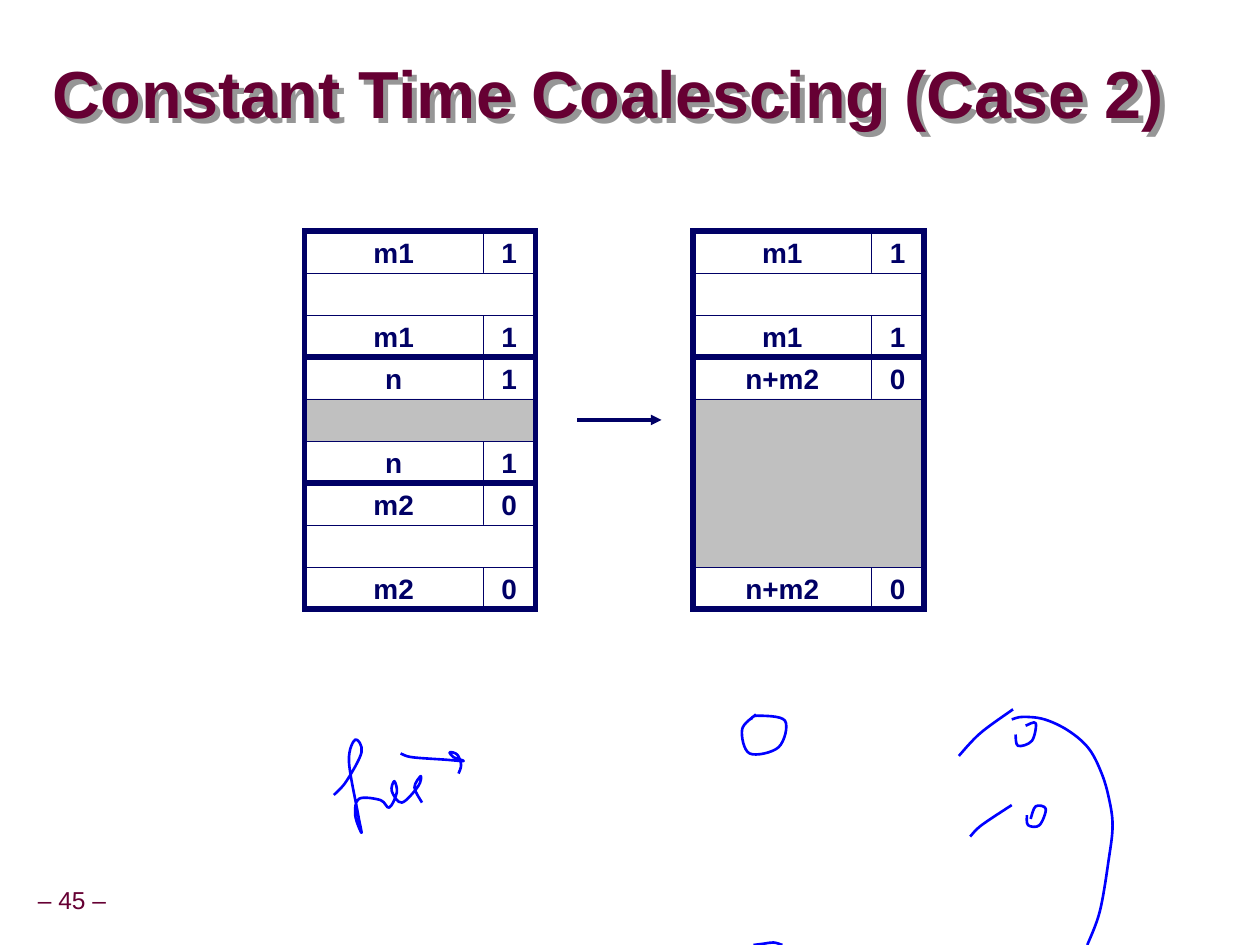
"""Build the slide on constant time coalescing, case 2."""
from lxml.etree import SubElement
from pptx import Presentation
from pptx.dml.color import RGBColor
from pptx.enum.shapes import MSO_CONNECTOR, MSO_SHAPE
from pptx.enum.text import MSO_ANCHOR, PP_ALIGN
from pptx.oxml.ns import qn
from pptx.util import Inches, Pt

COLORS = {
    "title": "660033", "navy": "000066", "free": "C0C0C0",
    "white": "FFFFFF", "ink": "0000FF", "shadow": "969696",
}

deck = Presentation()
deck.slide_width, deck.slide_height = Inches(10), Inches(7.5)
page = deck.slides.add_slide(deck.slide_layouts[6])
shapes = page.shapes
UNIT = deck.slide_width // 120
ROW = 4 * UNIT
TOP = 22 * UNIT
SIZE_WIDTH, FLAG_WIDTH = 17 * UNIT, 5 * UNIT
BLOCK_WIDTH = SIZE_WIDTH + FLAG_WIDTH


def write(box, text, size, color, bold, align, inset=0, spacing=1.0):
    frame = box.text_frame
    frame.vertical_anchor = MSO_ANCHOR.MIDDLE
    frame.margin_left = frame.margin_right = inset
    frame.margin_top = frame.margin_bottom = inset // 2
    frame.word_wrap = False
    para = frame.paragraphs[0]
    para.alignment = align
    para.line_spacing = spacing
    span = para.add_run()
    span.text = text
    span.font.name, span.font.size, span.font.bold = "Arial", Pt(size), bold
    span.font.color.rgb = RGBColor.from_string(COLORS[color])


def add_cell(left, top, width, height, fill, line_width, text=""):
    cell = shapes.add_shape(MSO_SHAPE.RECTANGLE, left, top, width, height)
    cell.shadow.inherit = False
    if fill:
        cell.fill.solid()
        cell.fill.fore_color.rgb = RGBColor.from_string(COLORS[fill])
    else:
        cell.fill.background()
    cell.line.color.rgb = RGBColor.from_string(COLORS["navy"])
    cell.line.width = Pt(line_width)
    SubElement(cell.line._get_or_add_ln(), qn("a:miter"), lim="800000")
    if text:
        write(cell, text, 16, "navy", True, PP_ALIGN.CENTER, Inches(0.1))


number = shapes.add_textbox(-UNIT, 84 * UNIT, Inches(1.31), Inches(0.31))
write(number, "– 45 –", 14, "title", False, PP_ALIGN.CENTER, Inches(0.1), 0.9)

title = shapes.add_textbox(5 * UNIT, Inches(0.46), 109 * UNIT, Inches(0.63))
write(title, "Constant Time Coalescing (Case 2)", 38, "title", True,
      PP_ALIGN.LEFT, spacing=0.87)
title.text_frame.word_wrap = True
effects = SubElement(title._element.spPr, qn("a:effectLst"))
shadow = SubElement(effects, qn("a:outerShdw"), dist="50800", dir="2700000",
                    algn="ctr", rotWithShape="0")
SubElement(shadow, qn("a:srgbClr"), val=COLORS["shadow"])

BLOCKS = [
    (29, 0, 3, "m1", "1", "white"),
    (29, 3, 3, "n", "1", "free"),
    (29, 6, 3, "m2", "0", "white"),
    (66, 0, 3, "m1", "1", "white"),
    (66, 3, 6, "n+m2", "0", "free"),
]
for column, first_row, rows, size, flag, payload in BLOCKS:
    left, top = column * UNIT, TOP + first_row * ROW
    for tag_top in (top, top + (rows - 1) * ROW):
        add_cell(left, tag_top, SIZE_WIDTH, ROW, "white", 0.25, size)
        add_cell(left + SIZE_WIDTH, tag_top, FLAG_WIDTH, ROW, "white", 0.25, flag)
    add_cell(left, top + ROW, BLOCK_WIDTH, (rows - 2) * ROW, payload, 0.25)
    add_cell(left, top, BLOCK_WIDTH, rows * ROW, None, 3)

arrow = shapes.add_connector(MSO_CONNECTOR.STRAIGHT, 55 * UNIT, 40 * UNIT, 63 * UNIT, 40 * UNIT)
arrow.line.color.rgb = RGBColor.from_string(COLORS["navy"])
arrow.line.width = Pt(2)
SubElement(arrow.line._get_or_add_ln(), qn("a:tailEnd"), type="triangle")
SubElement(arrow._element.spPr, qn("a:effectLst"))

FREE_WORD = [
    [(2.65, 6.31), (2.75, 6.2), (2.87, 5.97), (2.82, 5.87), (2.77, 6.04), (2.84, 6.45),
     (2.87, 6.61), (2.82, 6.47), (2.85, 6.34), (3.02, 6.35), (3.09, 6.41), (3.15, 6.29),
     (3.13, 6.2), (3.11, 6.28), (3.19, 6.37), (3.32, 6.24), (3.34, 6.16), (3.29, 6.25),
     (3.35, 6.37)],
    [(3.18, 5.98), (3.27, 6.01), (3.54, 6.03), (3.68, 6.04), (3.6, 6.01), (3.57, 5.97),
     (3.63, 5.99), (3.66, 6.07), (3.64, 6.14)],
]
LARGE_ZERO = [
    [(6, 5.67), (5.89, 5.79), (5.95, 5.98), (6.18, 5.93), (6.23, 5.72), (6.01, 5.68),
     (5.96, 5.71)],
]
BOTTOM_ARC = [[(5.98, 7.5), (6.06, 7.49), (6.14, 7.48), (6.21, 7.5)]]
LINKED_ZEROS = [
    [(7.61, 6), (7.78, 5.82), (8.04, 5.63)],
    [(8.06, 5.83), (8.08, 5.92), (8.19, 5.88), (8.22, 5.74), (8.14, 5.76)],
    [(7.7, 6.64), (7.79, 6.55), (8.03, 6.39)],
    [(8.15, 6.47), (8.16, 6.55), (8.25, 6.55), (8.3, 6.42), (8.22, 6.4), (8.18, 6.5)],
    [(8.03, 5.71), (8.12, 5.69), (8.29, 5.71), (8.48, 5.8), (8.64, 5.94), (8.74, 6.13),
     (8.8, 6.33), (8.83, 6.55), (8.8, 6.82), (8.73, 7.23), (8.63, 7.5)],
]
for drawing in (FREE_WORD, LARGE_ZERO, BOTTOM_ARC, LINKED_ZEROS):
    strokes = [[(Inches(x), Inches(y)) for x, y in stroke] for stroke in drawing]
    builder = shapes.build_freeform(*strokes[0][0])
    for stroke in strokes:
        if stroke is not strokes[0]:
            builder.move_to(*stroke[0])
        builder.add_line_segments(stroke[1:], close=False)
    ink = builder.convert_to_shape()
    ink.shadow.inherit = False
    ink.fill.background()
    ink.line.color.rgb = RGBColor.from_string(COLORS["ink"])
    ink.line.width = Pt(1.5)
    segments = ink._element.iter(qn("a:lnTo"))
    curves = []
    for stroke in strokes:
        padded = [stroke[0], *stroke, stroke[-1]]
        curves += zip(padded, padded[1:], padded[2:], padded[3:])
    for segment, (before, start, end, after) in zip(list(segments), curves):
        leave = [b + (c - a) // 6 for a, b, c in zip(before, start, end)]
        arrive = [c - (d - b) // 6 for b, c, d in zip(start, end, after)]
        curve = SubElement(segment.getparent(), qn("a:cubicBezTo"))
        for x, y in (leave, arrive, end):
            SubElement(curve, qn("a:pt"), x=str(x - ink.left), y=str(y - ink.top))
        segment.getparent().replace(segment, curve)

deck.save("out.pptx")
